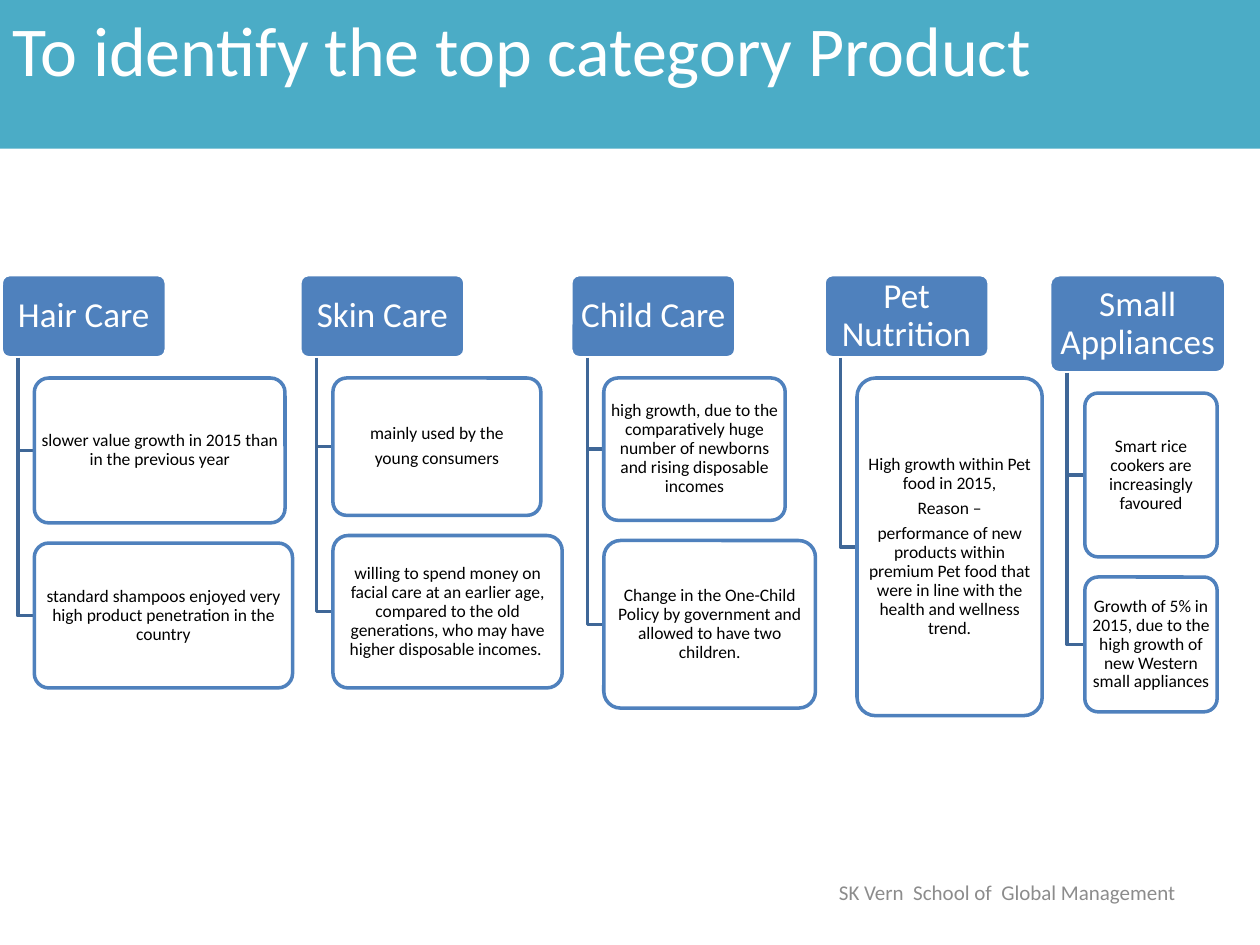
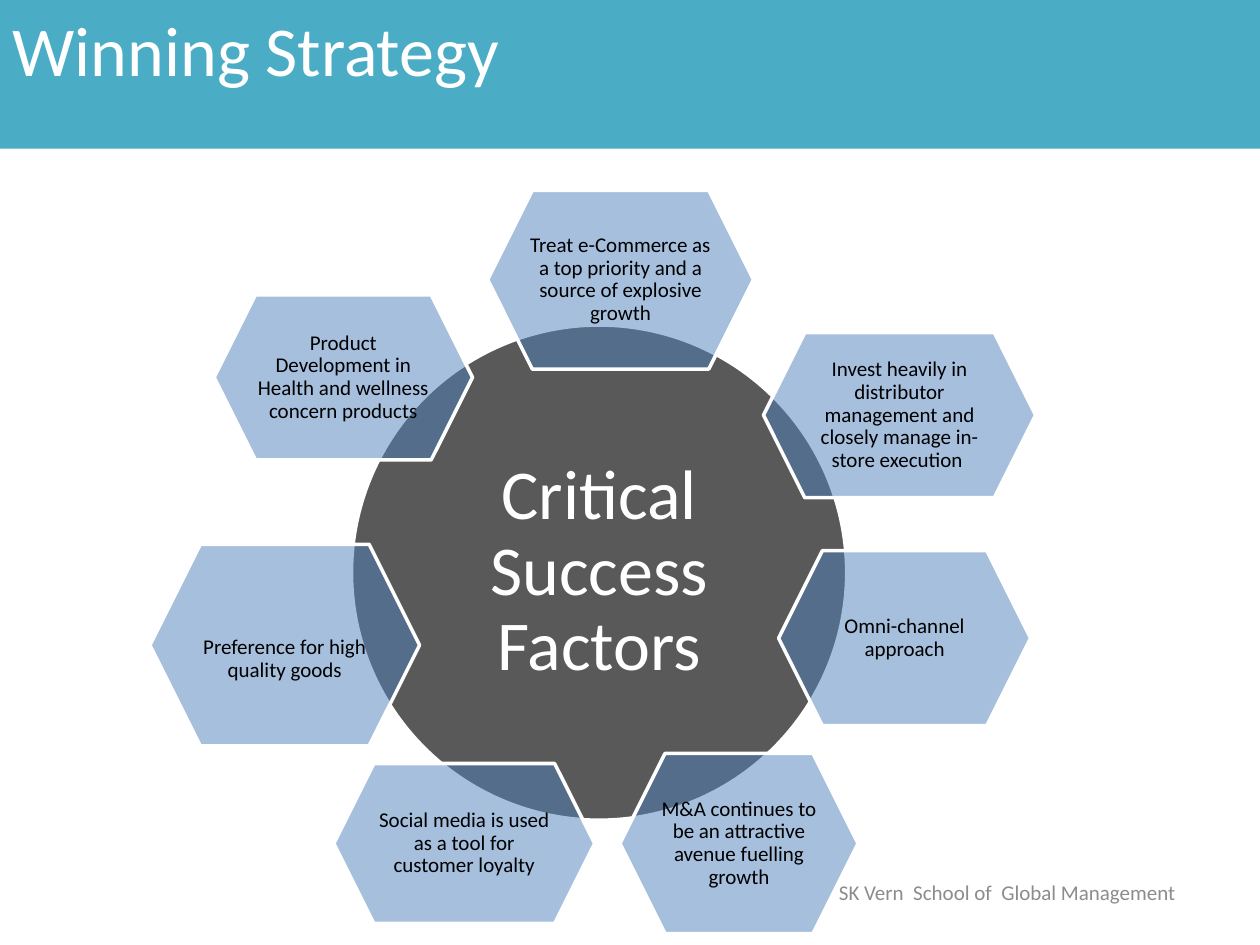
from lxml.etree import SubElement
from pptx import Presentation
from pptx.dml.color import RGBColor
from pptx.enum.shapes import MSO_SHAPE
from pptx.enum.text import MSO_ANCHOR, MSO_AUTO_SIZE, PP_ALIGN
from pptx.oxml.ns import qn
from pptx.util import Inches, Pt

HUES = {"band": "4BACC6", "blue": "4F81BD", "stem": "3F6797", "core": "595959",
        "white": "FFFFFF", "black": "000000", "foot": "8C8C8C"}
RGB = {name: RGBColor.from_string(code) for name, code in HUES.items()}
FONT = "Calibri"


def draw(slide, kind, box, fill, line):
    shape = slide.shapes.add_shape(kind, *map(Inches, box))
    shape.shadow.inherit = False
    shape.fill.solid()
    shape.fill.fore_color.rgb = RGB[fill]
    shape.line.color.rgb = RGB[line]
    shape.line.width = Pt(2)
    return shape


def write(shape, lines, size, hue, pad, align=PP_ALIGN.CENTER,
          anchor=MSO_ANCHOR.MIDDLE, tight=True):
    frame = shape.text_frame
    frame.word_wrap = True
    frame.auto_size = MSO_AUTO_SIZE.NONE
    frame.vertical_anchor = anchor
    frame.margin_left = frame.margin_right = Inches(pad[0])
    frame.margin_top = frame.margin_bottom = Inches(pad[1])
    for i, line in enumerate(lines):
        para = frame.paragraphs[0] if i == 0 else frame.add_paragraph()
        para.alignment = align
        if tight:
            para.line_spacing = 0.9
            para.space_after = Pt(size * 0.35)
        run = para.add_run()
        run.text = line
        run.font.name = FONT
        run.font.size = Pt(size)
        run.font.color.rgb = RGB[hue]


deck = Presentation()
deck.slide_width, deck.slide_height = Inches(10), Inches(7.5)

# Title bands
pages = []
for head in ["To identify the top category Product", "Winning Strategy"]:
    page = deck.slides.add_slide(deck.slide_layouts[5])
    band = page.shapes.title
    band.left, band.top, band.width, band.height = map(Inches, (0, 0, 10, 1.18))
    band.fill.solid()
    band.fill.fore_color.rgb = RGB["band"]
    write(band, [head], 40, "white", (0.1, 0.05), PP_ALIGN.LEFT, MSO_ANCHOR.TOP, False)
    pages.append(page)
trend, plan = pages

# Product trees: left, width and height of the head, then cards of width, height, text
TOP, GAP = 2.18, 0.16
trees = [
    ("Hair Care", 0.01, 1.31, 0.66, [
        (1.99, 1.15, ["slower value growth in 2015 than in the previous year"]),
        (2.05, 1.15, ["standard shampoos enjoyed very high product penetration "
                      "in the country"])]),
    ("Skin Care", 2.38, 1.31, 0.66, [
        (1.65, 1.09, ["mainly used by the", "young consumers"]),
        (1.82, 1.21, ["willing to spend money on facial care at an earlier age, "
                      "compared to the old generations, who may have higher "
                      "disposable incomes. "])]),
    ("Child Care", 4.53, 1.31, 0.66, [
        (1.44, 1.13, ["high growth, due to the comparatively huge number of "
                      "newborns and rising disposable incomes"]),
        (1.68, 1.33, ["Change in the One-Child Policy by government and allowed "
                      "to have two children."])]),
    ("Pet Nutrition", 6.54, 1.31, 0.66, [
        (1.47, 2.68, ["High growth within Pet food in 2015,", "Reason –",
                      "performance of new products within premium Pet food that "
                      "were in line with the health and wellness trend."])]),
    ("Small Appliances ", 8.33, 1.4, 0.78, [
        (1.05, 1.3, ["Smart rice cookers are increasingly favoured"]),
        (1.05, 1.07, ["Growth of 5% in 2015, due to the high growth of new "
                      "Western small appliances"])]),
]
for name, left, wide, high, cards in trees:
    head = draw(trend, MSO_SHAPE.ROUNDED_RECTANGLE, (left, TOP, wide, high), "blue", "white")
    head.adjustments[0] = 0.1
    write(head, [name], 20, "white", (0.04, 0.03))
    base = TOP + high
    stem, edge = left + 0.1 * wide, left + 0.2 * wide
    top = base + GAP
    for span, tall, lines in cards:
        # Elbow from head to card
        mid = top + tall / 2
        pen = trend.shapes.build_freeform(Inches(stem), Inches(base))
        pen.add_line_segments([(Inches(stem), Inches(mid)), (Inches(edge), Inches(mid))],
                              close=False)
        elbow = pen.convert_to_shape()
        elbow.shadow.inherit = False
        elbow.fill.background()
        elbow.line.color.rgb = RGB["stem"]
        elbow.line.width = Pt(2)
        # Card
        card = draw(trend, MSO_SHAPE.ROUNDED_RECTANGLE, (edge, top, span, tall),
                    "white", "blue")
        card.adjustments[0] = 0.1
        write(card, lines, 10, "black", (0.02, 0.01))
        top += tall + GAP

# Core of the strategy wheel
core = draw(plan, MSO_SHAPE.OVAL, (2.79, 2.58, 3.93, 3.93), "core", "white")
write(core, ["Critical Success Factors"], 40, "white", (0.06, 0.06))

# Success factors, clockwise from the top; drop lowers the text
factors = [
    ((3.87, 1.51, 2.11, 1.42), 0,
     "Treat e-Commerce as a top priority and a source of explosive growth"),
    ((6.06, 2.64, 2.16, 1.31), 0,
     "Invest heavily in distributor management and closely manage in-store execution "),
    ((6.18, 4.37, 2, 1.39), 0, "Omni-channel approach"),
    ((4.92, 5.98, 1.89, 1.43), 0,
     "M&A continues to be an attractive avenue fuelling growth"),
    ((2.65, 6.06, 2.07, 1.27), 0, "Social media is used as a tool for customer loyalty"),
    ((1.19, 4.32, 2.14, 1.6), 0.22, "Preference for high quality goods"),
    ((1.7, 2.34, 2.05, 1.31), 0,
     "Product Development in Health and wellness concern products"),
]
for box, drop, text in factors:
    cell = draw(plan, MSO_SHAPE.HEXAGON, box, "blue", "white")
    tint = cell.fill._xPr.find(qn("a:solidFill"))[0]
    SubElement(tint, qn("a:alpha"), val="50000")
    write(cell, [text], 12, "black", (0.02, 0.02))
    cell.text_frame.margin_top = Inches(0.02 + drop)

# Footers
for page in pages:
    foot = page.shapes.add_textbox(*map(Inches, (6.41, 6.88, 3.17, 0.4)))
    write(foot, ["SK Vern  School of  Global Management"], 12, "foot", (0.1, 0.05),
          tight=False)

deck.save("out.pptx")
